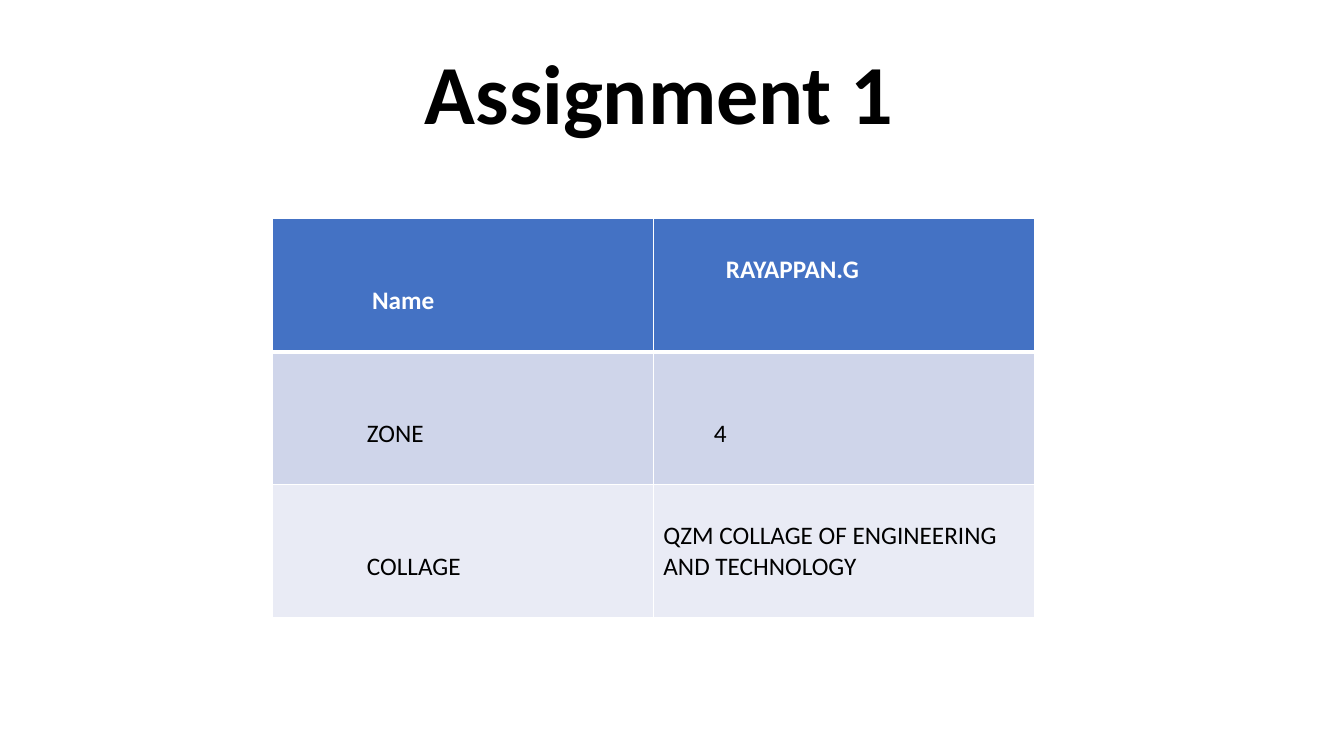
import pptx
import pptx.util
import pptx.dml.color
import pptx.enum.text
import pptx.oxml
import pptx.oxml.ns

Inches, Pt = pptx.util.Inches, pptx.util.Pt
RGB = pptx.dml.color.RGBColor.from_string

THEME = {
    "font": "Calibri", "title_size": 60, "cell_size": 18,
    "ink": "000000", "header_ink": "FFFFFF", "border": "FFFFFF",
    "row_fills": ["4472C4", "CFD5EA", "E9EBF5"],
    "thin": 1, "thick": 3,
}

TITLE = "Assignment 1"
DETAILS = [
    [("Name", 2, 0.99), ("RAYAPPAN.G", 1, 0.72)],
    [("ZONE", 2, 0.94), ("4", 2, 0.6)],
    [("COLLAGE", 2, 0.94), ("QZM COLLAGE OF ENGINEERING AND TECHNOLOGY", 1, 0.1)],
]

SLIDE_W, SLIDE_H = 13.33, 7.5
COLUMN_W, ROW_H = 3.78, 1.32
TABLE_LEFT, TABLE_TOP = 2.7, 2.17
LINE_H, TOP_INSET = 0.305, 0.05


def write(paragraph, text, size, color, bold):
    run = paragraph.add_run()
    run.text = text
    formats = {"name": THEME["font"], "size": Pt(size), "bold": bold}
    for key, value in formats.items():
        setattr(run.font, key, value)
    run.font.color.rgb = RGB(color)


def draw_borders(cell, widths):
    properties = cell._tc.get_or_add_tcPr()
    for place, (side, width) in enumerate(widths.items()):
        properties.insert(place, pptx.oxml.parse_xml(
            f'<a:ln{side} {pptx.oxml.ns.nsdecls("a")} w="{Pt(width)}">'
            f'<a:solidFill><a:srgbClr val="{THEME["border"]}"/></a:solidFill></a:ln{side}>'))


deck = pptx.Presentation()
deck.slide_width, deck.slide_height = Inches(SLIDE_W), Inches(SLIDE_H)
slide = deck.slides.add_slide(deck.slide_layouts[6])

details = slide.shapes.add_table(
    len(DETAILS), len(DETAILS[0]), Inches(TABLE_LEFT), Inches(TABLE_TOP),
    Inches(COLUMN_W * len(DETAILS[0])), Inches(ROW_H * len(DETAILS))).table
for column in details.columns:
    column.width = Inches(COLUMN_W)

for r, entries in enumerate(DETAILS):
    details.rows[r].height = Inches(ROW_H)
    header = r == 0
    for c, (text, lines_down, indent) in enumerate(entries):
        cell = details.cell(r, c)
        insets = {"margin_left": Inches(indent),
                  "margin_top": Inches(TOP_INSET + lines_down * LINE_H)}
        for key, value in insets.items():
            setattr(cell, key, value)
        cell.fill.solid()
        cell.fill.fore_color.rgb = RGB(THEME["row_fills"][r])
        draw_borders(cell, {
            "L": THEME["thin"], "R": THEME["thin"],
            "T": THEME["thick" if r == 1 else "thin"],
            "B": THEME["thick" if header else "thin"]})
        write(cell.text_frame.paragraphs[0], text, THEME["cell_size"],
              THEME["header_ink" if header else "ink"], header)

heading = slide.shapes.add_textbox(
    Inches(1.07), Inches(0.18), Inches(10.94), Inches(1.28)).text_frame
frame_formats = {"word_wrap": True, "vertical_anchor": pptx.enum.text.MSO_ANCHOR.BOTTOM}
for key, value in frame_formats.items():
    setattr(heading, key, value)
line = heading.paragraphs[0]
line_formats = {"alignment": pptx.enum.text.PP_ALIGN.CENTER, "line_spacing": 0.9}
for key, value in line_formats.items():
    setattr(line, key, value)
write(line, TITLE, THEME["title_size"], THEME["ink"], True)

deck.save("out.pptx")
